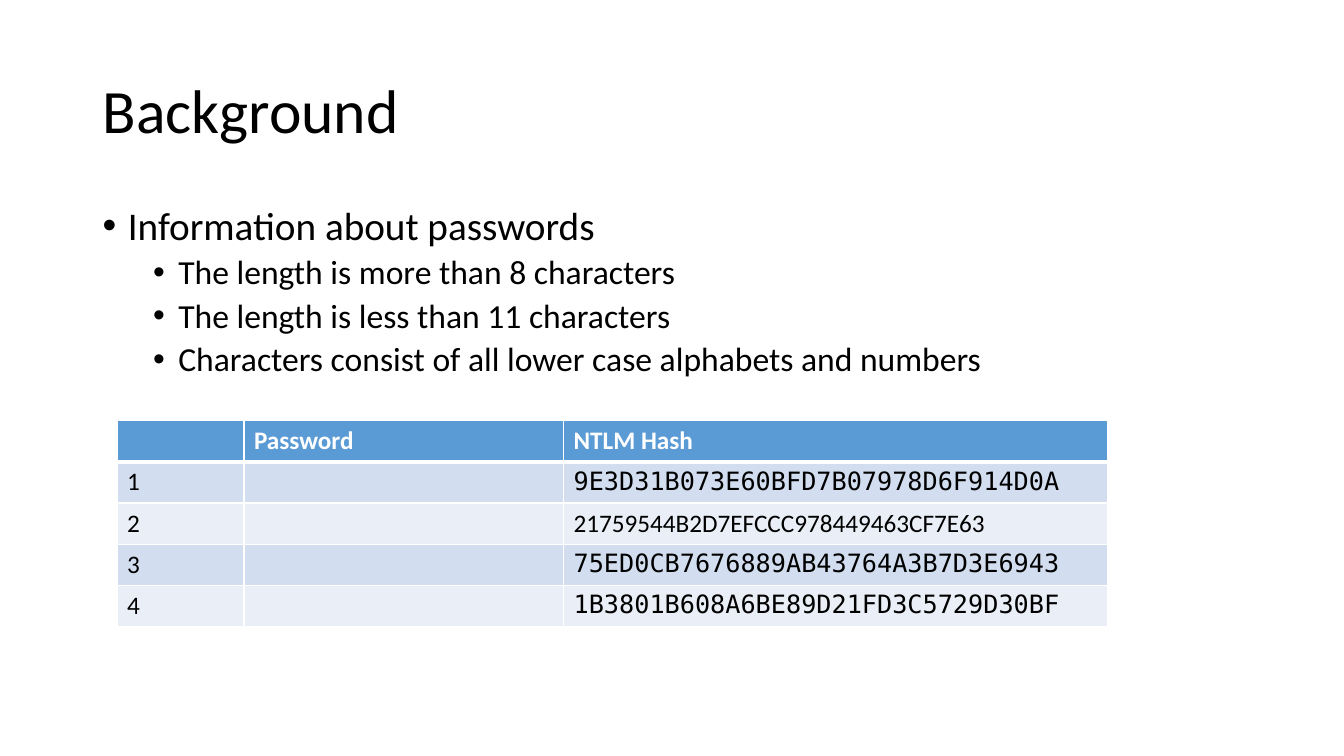
import lxml.etree
import pptx
import pptx.dml.color
import pptx.enum.text
import pptx.oxml.ns
import pptx.util

Inches = pptx.util.Inches
Pt = pptx.util.Pt
RGBColor = pptx.dml.color.RGBColor
qn = pptx.oxml.ns.qn

BLACK = RGBColor(0x00, 0x00, 0x00)
WHITE = RGBColor(0xFF, 0xFF, 0xFF)
HEADER_BLUE = RGBColor(0x5B, 0x9B, 0xD5)
BAND_DARK = RGBColor(0xD2, 0xDE, 0xEF)
BAND_LIGHT = RGBColor(0xEA, 0xEF, 0xF7)

SANS = "Calibri"
MONO = "DejaVu Sans Mono"

POINTS = [
    (0, "Information about passwords"),
    (1, "The length is more than 8 characters"),
    (1, "The length is less than 11 characters"),
    (1, "Characters consist of all lower case alphabets and numbers"),
]
POINT_SIZES = [28, 24]
POINT_SPACING = [10, 5]

HEADINGS = ["", "Password", "NTLM Hash"]
HASHES = [
    ("9E3D31B073E60BFD7B07978D6F914D0A", MONO),
    ("21759544B2D7EFCCC978449463CF7E63", SANS),
    ("75ED0CB7676889AB43764A3B7D3E6943", MONO),
    ("1B3801B608A6BE89D21FD3C5729D30BF", MONO),
]
COLUMN_WIDTHS = [1.26, 3.17, 5.4]
ROW_HEIGHT = 0.41
HEAVY_EDGES = {(0, "a:lnB"), (1, "a:lnT")}


class SlideBuilder:
    def __init__(self, slide):
        self.slide = slide
        self.text_format = {"name": SANS, "size": Pt(18), "bold": False}

    def style_font(self, font, color=BLACK, **changes):
        for name, value in {**self.text_format, **changes}.items():
            setattr(font, name, value)
        font.color.rgb = color

    def add_text_frame(self, left, top, width, height, anchor):
        shape = self.slide.shapes.add_textbox(
            Inches(left), Inches(top), Inches(width), Inches(height))
        frame = shape.text_frame
        frame.word_wrap = True
        frame.vertical_anchor = anchor
        return frame

    def add_title(self, text, *box):
        frame = self.add_text_frame(*box, pptx.enum.text.MSO_ANCHOR.MIDDLE)
        paragraph = frame.paragraphs[0]
        paragraph.line_spacing = 0.9
        run = paragraph.add_run()
        run.text = text
        self.style_font(run.font, size=Pt(44))

    def add_bullets(self, points, *box):
        frame = self.add_text_frame(*box, pptx.enum.text.MSO_ANCHOR.TOP)
        for index, (level, text) in enumerate(points):
            paragraph = frame.add_paragraph() if index else frame.paragraphs[0]
            paragraph.level = level
            paragraph.line_spacing = 0.9
            paragraph.space_before = Pt(POINT_SPACING[level])
            run = paragraph.add_run()
            run.text = text
            self.style_font(run.font, size=Pt(POINT_SIZES[level]))
            properties = paragraph._p.get_or_add_pPr()
            properties.set("marL", str(Inches(0.25 + 0.5 * level)))
            properties.set("indent", str(Inches(-0.25)))
            lxml.etree.SubElement(properties, qn("a:buFont"), typeface="Arial")
            lxml.etree.SubElement(properties, qn("a:buChar"), char="•")

    def add_borders(self, cell, row):
        properties = cell._tc.get_or_add_tcPr()
        for edge in ("a:lnL", "a:lnR", "a:lnT", "a:lnB"):
            width = Pt(3 if (row, edge) in HEAVY_EDGES else 1)
            line = lxml.etree.SubElement(properties, qn(edge), w=str(width))
            fill = lxml.etree.SubElement(line, qn("a:solidFill"))
            lxml.etree.SubElement(fill, qn("a:srgbClr"), val=str(WHITE))

    def fill_cell(self, cell, row, text, fill, **font_format):
        self.add_borders(cell, row)
        cell.fill.solid()
        cell.fill.fore_color.rgb = fill
        paragraph = cell.text_frame.paragraphs[0]
        if text:
            run = paragraph.add_run()
            run.text = text
            self.style_font(run.font, **font_format)

    def add_hash_table(self, left, top):
        row_count = len(HASHES) + 1
        table = self.slide.shapes.add_table(
            row_count, len(HEADINGS), Inches(left), Inches(top),
            Inches(sum(COLUMN_WIDTHS)), Inches(ROW_HEIGHT * row_count)).table
        for column, width in zip(table.columns, COLUMN_WIDTHS):
            column.width = Inches(width)
        for row in table.rows:
            row.height = Inches(ROW_HEIGHT)
        for column, heading in enumerate(HEADINGS):
            self.fill_cell(table.cell(0, column), 0, heading, HEADER_BLUE,
                           color=WHITE, bold=True)
        for row, (digest, font_name) in enumerate(HASHES, start=1):
            band = BAND_DARK if row % 2 else BAND_LIGHT
            for column, text in enumerate([str(row), "", digest]):
                name = font_name if column == 2 else SANS
                self.fill_cell(table.cell(row, column), row, text, band, name=name)


def main():
    presentation = pptx.Presentation()
    presentation.slide_width = Inches(13.33)
    presentation.slide_height = Inches(7.5)
    slide = presentation.slides.add_slide(presentation.slide_layouts[6])
    builder = SlideBuilder(slide)
    builder.add_hash_table(1.16, 4.17)
    builder.add_title("Background", 0.92, 0.4, 11.5, 1.45)
    builder.add_bullets(POINTS, 0.92, 2, 11.5, 2.03)
    presentation.save("out.pptx")


if __name__ == "__main__":
    main()
